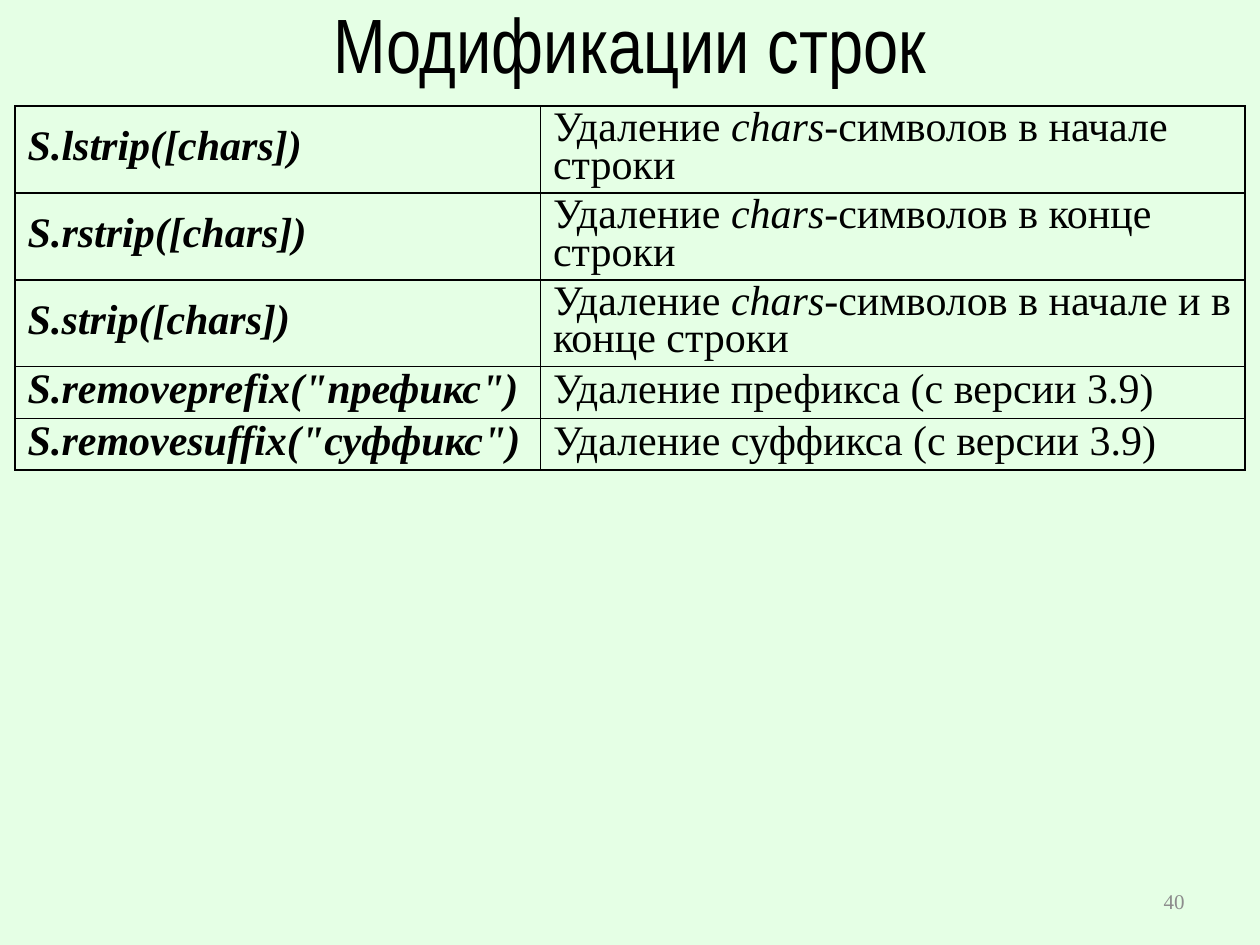
import pptx
import pptx.dml.color
import pptx.enum.text
import pptx.oxml
import pptx.oxml.ns
import pptx.util

Pt = pptx.util.Pt
RGBColor = pptx.dml.color.RGBColor
ALIGN = pptx.enum.text.PP_ALIGN
MIDDLE = pptx.enum.text.MSO_ANCHOR.MIDDLE

# Content: method, then description as (text, italic) runs
TITLE = "Модификации строк"
PAGE_NUMBER = "40"
STRIPPED = [
    ("lstrip", "в начале строки"),
    ("rstrip", "в конце строки"),
    ("strip", "в начале и в конце строки"),
]
REMOVED = [("prefix", "префикс"), ("suffix", "суффикс")]
ROWS = [
    (f"S.{method}([chars])",
     [("Удаление ", False), ("chars-", True), (f"символов {place}", False)])
    for method, place in STRIPPED
] + [
    (f'S.remove{part}("{word}")', [(f"Удаление {word}а (с версии 3.9)", False)])
    for part, word in REMOVED
]

# Formats
BLACK = RGBColor(0x00, 0x00, 0x00)
GRAY = RGBColor(0x8C, 0x8C, 0x8C)
PALE_GREEN = RGBColor(0xE5, 0xFF, 0xE5)
SERIF = "Times New Roman"
TITLE_FONT = {"name": "Arial Narrow", "size": Pt(44), "bold": False}
NUMBER_FONT = {"name": SERIF, "size": Pt(12)}
CELL_FONT = {"name": SERIF, "size": Pt(24)}

# Layout
SLIDE_WIDTH, SLIDE_HEIGHT = 720, 540
MARGIN = 8.64
CONTENT_WIDTH = SLIDE_WIDTH - 2 * MARGIN
METHOD_WIDTH = 300.24
COLUMN_WIDTHS = (METHOD_WIDTH, CONTENT_WIDTH - METHOD_WIDTH)
TABLE_TOP, TABLE_HEIGHT, ROW_HEIGHT = 60.48, 220.32, 29.52


def add_run(paragraph, text, font_values, color=BLACK):
    run = paragraph.add_run()
    run.text = text
    for name, value in font_values.items():
        setattr(run.font, name, value)
    run.font.color.rgb = color


def add_borders(cell):
    properties = cell._tc.get_or_add_tcPr()
    for position, side in enumerate(("lnL", "lnR", "lnT", "lnB")):
        properties.insert(position, pptx.oxml.parse_xml(
            f'<a:{side} {pptx.oxml.ns.nsdecls("a")} w="{Pt(1)}"><a:solidFill>'
            f'<a:srgbClr val="{BLACK}"/></a:solidFill></a:{side}>'))


def fill_cell(cell, runs):
    cell.fill.background()
    cell.vertical_anchor = MIDDLE
    paragraph = cell.text_frame.paragraphs[0]
    paragraph.line_spacing = 0.8
    for text, bold, italic in runs:
        add_run(paragraph, text, {**CELL_FONT, "bold": bold, "italic": italic})
    add_borders(cell)


def fill_line(shape, text, alignment, font_values, color):
    frame = shape.text_frame
    frame.word_wrap = True
    frame.auto_size = pptx.enum.text.MSO_AUTO_SIZE.NONE
    frame.vertical_anchor = MIDDLE
    paragraph = frame.paragraphs[0]
    paragraph.alignment = alignment
    add_run(paragraph, text, font_values, color)


def main():
    presentation = pptx.Presentation()
    presentation.slide_width = Pt(SLIDE_WIDTH)
    presentation.slide_height = Pt(SLIDE_HEIGHT)
    slide = presentation.slides.add_slide(presentation.slide_layouts[5])
    slide.background.fill.solid()
    slide.background.fill.fore_color.rgb = PALE_GREEN

    # Title
    title = slide.shapes.title
    title.left, title.top = Pt(MARGIN), Pt(0)
    title.width, title.height = Pt(CONTENT_WIDTH), Pt(48.96)
    fill_line(title, TITLE, ALIGN.CENTER, TITLE_FONT, BLACK)

    # Page number
    number = slide.shapes.add_textbox(Pt(516), Pt(500.5), Pt(168), Pt(28.75))
    fill_line(number, PAGE_NUMBER, ALIGN.RIGHT, NUMBER_FONT, GRAY)

    # Table of methods
    table_shape = slide.shapes.add_table(
        len(ROWS), len(COLUMN_WIDTHS), Pt(MARGIN), Pt(TABLE_TOP),
        Pt(CONTENT_WIDTH), Pt(TABLE_HEIGHT))
    table = table_shape.table
    table.first_row = table.horz_banding = False
    for column, width in zip(table.columns, COLUMN_WIDTHS):
        column.width = Pt(width)
    for index, (method, description) in enumerate(ROWS):
        table.rows[index].height = Pt(ROW_HEIGHT)
        fill_cell(table.cell(index, 0), [(method, True, True)])
        fill_cell(table.cell(index, 1),
                  [(text, False, italic) for text, italic in description])
    table_shape.height = Pt(TABLE_HEIGHT)

    presentation.save("out.pptx")


if __name__ == "__main__":
    main()
